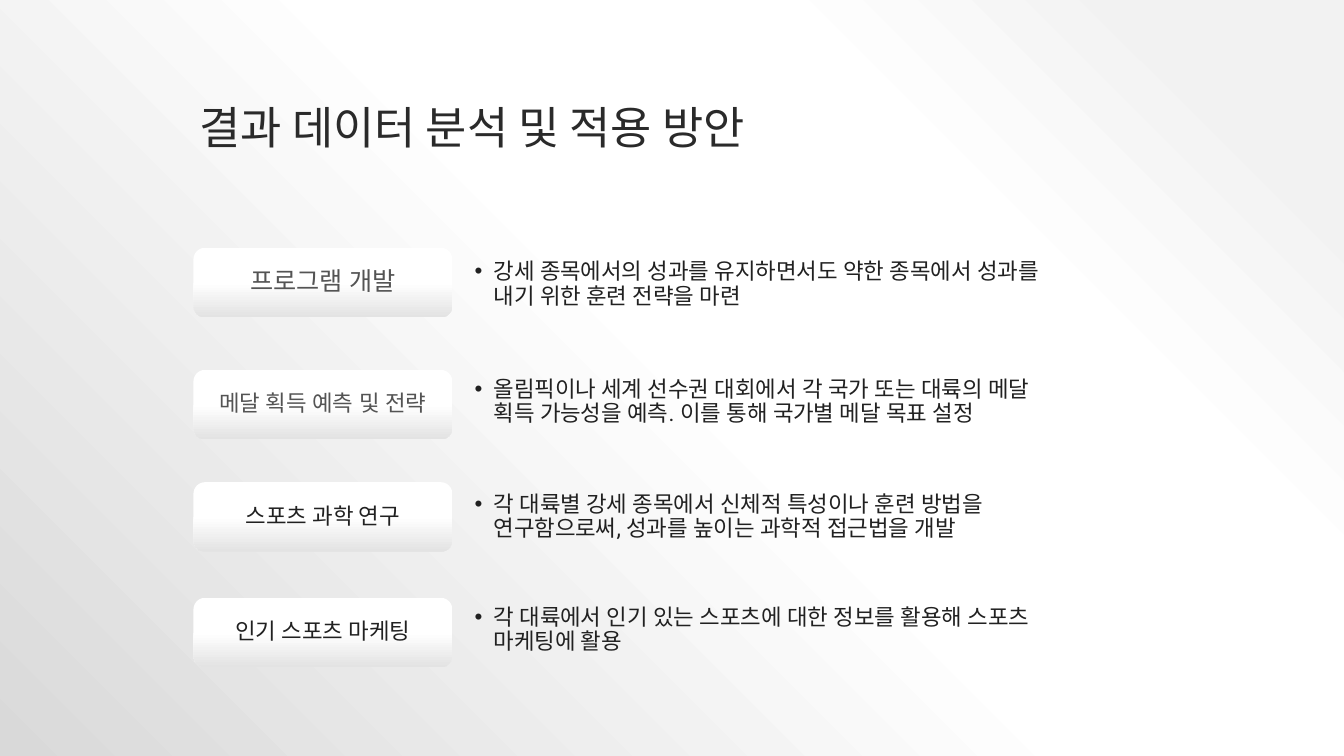
from pptx import Presentation
from pptx.dml.color import RGBColor
from pptx.enum.shapes import MSO_SHAPE as SHAPE
from pptx.enum.text import MSO_ANCHOR as ANCHOR, MSO_AUTO_SIZE as AUTO, PP_ALIGN as ALIGN
from pptx.oxml import parse_xml
from pptx.oxml.ns import nsdecls, qn
from pptx.util import Pt
from lxml import etree

# Content
TITLE = "결과 데이터 분석 및 적용 방안"
INK = RGBColor(0x2A, 0x2A, 0x2A)
DARK = RGBColor(0x21, 0x21, 0x21)
GRAY = RGBColor(0x54, 0x54, 0x54)

# label, label format, label top, description, description top
ROWS = [
    ("프로그램 개발", dict(size=18, font="Lato", color=GRAY), 177,
     "강세 종목에서의 성과를 유지하면서도 약한 종목에서 성과를 내기 위한 훈련 전략을 마련", 179.3),
    ("메달 획득 예측 및 전략", dict(size=16, font="Lato", color=GRAY), 264.2,
     "올림픽이나 세계 선수권 대회에서 각 국가 또는 대륙의 메달 획득 가능성을 예측. "
     "이를 통해 국가별 메달 목표 설정", 263.5),
    ("스포츠 과학 연구", dict(size=16, font="Roboto", color=DARK), 344.4,
     "각 대륙별 강세 종목에서 신체적 특성이나 훈련 방법을 연구함으로써, "
     "성과를 높이는 과학적 접근법을 개발", 345.6),
    ("인기 스포츠 마케팅", dict(size=16, font="Roboto", color=DARK), 427,
     "각 대륙에서 인기 있는 스포츠에 대한 정보를 활용해 스포츠 마케팅에 활용", 426.2),
]
PAGE_STOPS = [(10, "F2F2F2"), (28, "FFFFFF"), (48, "FFFFFF"), (100, "D9D9D9")]
LABEL_STOPS = [(0, "FFFFFF"), (50, "FFFFFF"), (100, "E3E3E3")]
FROM_TOP_RIGHT = '<a:path path="circle"><a:fillToRect l="100000" b="100000"/></a:path>'
DOWNWARD = '<a:lin ang="5400000" scaled="0"/>'

# Layout
LABEL_X, LABEL_W, LABEL_H = 138.2, 185, 49.7
DESC_X, DESC_W, DESC_H = 332.6, 422.6, 48.2
INDENT = 13.5


def set_gradient(fill, root, stops, direction):
    fill.gradient()
    old = root.find(".//" + qn("a:gradFill"))
    gs = "".join(f'<a:gs pos="{pos * 1000}"><a:srgbClr val="{color}"/></a:gs>'
                 for pos, color in stops)
    new = parse_xml(f'<a:gradFill {nsdecls("a")} rotWithShape="1">'
                    f'<a:gsLst>{gs}</a:gsLst>{direction}</a:gradFill>')
    old.getparent().replace(old, new)


def place(sp, x, y, w, h):
    sp.left, sp.top, sp.width, sp.height = Pt(x), Pt(y), Pt(w), Pt(h)


def write(sp, text, size, font, color, align=ALIGN.LEFT, anchor=ANCHOR.MIDDLE,
          inset=6.5, bottom=None, bullet=False):
    tf = sp.text_frame
    tf.word_wrap, tf.auto_size, tf.vertical_anchor = True, AUTO.NONE, anchor
    tf.margin_left = tf.margin_right = tf.margin_top = Pt(inset)
    tf.margin_bottom = Pt(inset if bottom is None else bottom)
    p = tf.paragraphs[0]
    p.alignment, p.line_spacing = align, 0.9
    p.space_before = p.space_after = Pt(0)
    if bullet:
        pPr = p._p.get_or_add_pPr()
        pPr.set("marL", str(Pt(INDENT)))
        pPr.set("indent", str(-Pt(INDENT)))
        etree.SubElement(pPr, qn("a:buFont")).set("typeface", "Arial")
        etree.SubElement(pPr, qn("a:buChar")).set("char", "•")
    r = p.add_run()
    r.text = text
    r.font.size, r.font.name, r.font.bold = Pt(size), font, False
    r.font.color.rgb = color
    etree.SubElement(r._r.get_or_add_rPr(), qn("a:ea")).set("typeface", font)


prs = Presentation()
prs.slide_width, prs.slide_height = Pt(960), Pt(540)
slide = prs.slides.add_slide(prs.slide_layouts[4])  # title and four bodies
set_gradient(slide.background.fill, slide._element, PAGE_STOPS, FROM_TOP_RIGHT)

# Title
title, *bodies = slide.placeholders
place(title, 135.4, 51, 670.3, 104.4)
write(title, TITLE, size=32, font="Noto Sans CJK KR", color=INK,
      anchor=ANCHOR.BOTTOM, inset=7.2, bottom=45.3)

# Rows: label button and bulleted description
for body, (label, style, label_y, desc, desc_y) in zip(bodies, ROWS):
    place(body, DESC_X, desc_y, DESC_W, DESC_H)
    write(body, desc, size=16, font="Roboto", color=DARK, bullet=True)

    sp = slide.shapes.add_shape(SHAPE.ROUNDED_RECTANGLE, Pt(LABEL_X), Pt(label_y),
                                Pt(LABEL_W), Pt(LABEL_H))
    sp.shadow.inherit = False
    sp.line.fill.background()
    set_gradient(sp.fill, sp._element, LABEL_STOPS, DOWNWARD)
    write(sp, label, align=ALIGN.CENTER, **style)

prs.save("out.pptx")
